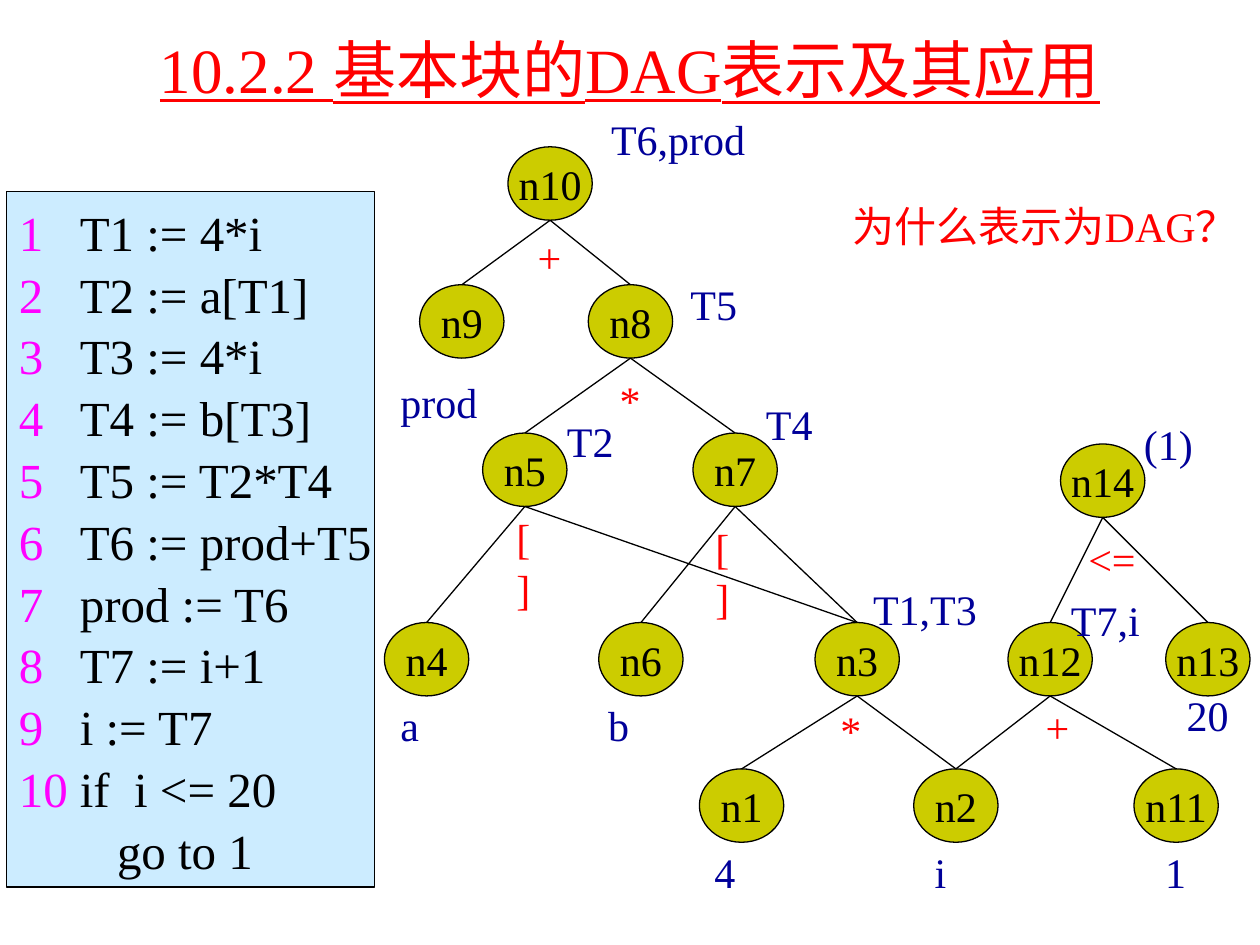
from typing import NamedTuple

from lxml import etree
from pptx import Presentation
from pptx.dml.color import RGBColor
from pptx.enum.shapes import MSO_CONNECTOR, MSO_SHAPE
from pptx.enum.text import MSO_ANCHOR, MSO_AUTO_SIZE, PP_ALIGN
from pptx.oxml.ns import qn
from pptx.util import Cm, Pt

OVAL, RECT = MSO_SHAPE.OVAL, MSO_SHAPE.RECTANGLE
STRAIGHT = MSO_CONNECTOR.STRAIGHT
MIDDLE = MSO_ANCHOR.MIDDLE
LEFT, CENTER = PP_ALIGN.LEFT, PP_ALIGN.CENTER
FIXED, GROW = MSO_AUTO_SIZE.NONE, MSO_AUTO_SIZE.SHAPE_TO_FIT_TEXT

FONT = "Times New Roman"
BLACK, WHITE, RED, NAVY, PINK = "000000", "FFFFFF", "FF0000", "000099", "FF00FF"
NODE_FILL, PANEL_FILL = "CCCC00", "CCECFF"
NODE_W, NODE_H = 1.7, 1.48
CODE_INDENT, GOTO_INDENT = 1.23, 1.98


class Node(NamedTuple):
    name: str
    x: float
    y: float


class Label(NamedTuple):
    text: str
    x: float
    y: float
    w: float = 1.73
    h: float = 1.27
    color: str = NAVY
    outlined: bool = False
    wrap: bool = True


ROW1, ROW2, ROW3, ROW4, ROW5 = 2.96, 5.74, 8.73, 12.55, 15.5
NODES = [
    Node("n10", 10.24, ROW1),
    Node("n9", 8.46, ROW2),
    Node("n8", 11.86, ROW2),
    Node("n5", 9.73, ROW3),
    Node("n7", 13.97, ROW3),
    Node("n14", 21.38, 8.95),
    Node("n4", 7.75, ROW4),
    Node("n6", 12.07, ROW4),
    Node("n3", 16.43, ROW4),
    Node("n12", 20.32, ROW4),
    Node("n13", 23.5, ROW4),
    Node("n1", 14.1, ROW5),
    Node("n2", 18.42, ROW5),
    Node("n11", 22.86, ROW5),
]

CHILDREN = {
    "n10": ("n9", "n8"),
    "n8": ("n5", "n7"),
    "n5": ("n4", "n3"),
    "n7": ("n6", "n3"),
    "n3": ("n1", "n2"),
    "n12": ("n2", "n11"),
    "n14": ("n12", "n13"),
}

LABELS = [
    Label("+", 10.59, 4.55, 1.07, color=RED),
    Label("*", 12.24, 7.42, 1.07, color=RED),
    Label("[ ]", 10.16, 10.21, 1.27, 2.29, RED),
    Label("[ ]", 14.17, 10.41, 1.27, 2.29, RED),
    Label("*", 16.69, 14.07, 1.27, color=RED),
    Label("<=", 21.69, 10.64, color=RED),
    Label("+", 20.83, 14.02, 1.27, color=RED),
    Label("T6,prod", 12.07, 2.16, 3.38, outlined=True),
    Label("prod", 7.82, 7.47, 2.54, outlined=True),
    Label("T5", 13.67, 5.49, 2.54, outlined=True),
    Label("T4", 15.19, 7.9),
    Label("T2", 11.18, 8.26),
    Label("a", 7.82, 13.97),
    Label("b", 12.01, 13.97),
    Label("4", 14.15, 16.94),
    Label("i", 18.59, 16.94),
    Label("1", 23.24, 16.94),
    Label("20", 23.67, 13.77),
    Label("(1)", 22.81, 8.31),
    Label("T7,i", 21.34, 11.86, 2.36),
    Label("T1,T3", 17.35, 11.63, 2.74),
    Label("为什么表示为DAG？", 16.94, 3.91, 8.66, color=RED, wrap=False),
]

CODE = [
    "T1 := 4*i",
    "T2 := a[T1]",
    "T3 := 4*i",
    "T4 := b[T3]",
    "T5 := T2*T4",
    "T6 := prod+T5",
    "prod := T6",
    "T7 := i+1",
    "i := T7",
    "if  i <= 20",
]


def rgb(value: str) -> RGBColor:
    return RGBColor.from_string(value)


def apply(obj, **values) -> None:
    for name, value in values.items():
        setattr(obj, name, value)


def add_run(p, text: str, size: float, color: str, **values) -> None:
    r = p.add_run()
    r.text = text
    apply(r.font, name=FONT, size=Pt(size), **values)
    r.font.color.rgb = rgb(color)


def set_line(sp, color: str) -> None:
    sp.line.color.rgb = rgb(color)
    sp.line.width = Pt(0.75)


def add_box(slide, kind, x: float, y: float, w: float, h: float, fill: str):
    sp = slide.shapes.add_shape(kind, Cm(x), Cm(y), Cm(w), Cm(h))
    sp.shadow.inherit = False
    sp.fill.solid()
    sp.fill.fore_color.rgb = rgb(fill)
    set_line(sp, BLACK)
    sp.text_frame.vertical_anchor = MIDDLE
    return sp


def add_title(slide, text: str) -> None:
    sp = slide.shapes.title
    apply(sp, left=Cm(1.9), top=Cm(0.84), width=Cm(21.59), height=Cm(1.07))
    tf = sp.text_frame
    apply(tf, vertical_anchor=MIDDLE, auto_size=FIXED)
    p = tf.paragraphs[0]
    p.alignment = CENTER
    add_run(p, text, 36, RED, underline=True)


def add_code(slide) -> None:
    sp = add_box(slide, RECT, 0.13, 3.86, 7.42, 14.02, PANEL_FILL)
    tf = sp.text_frame
    apply(tf, word_wrap=True, margin_right=0)
    for i, code in enumerate(CODE, 1):
        p = tf.paragraphs[0] if i == 1 else tf.add_paragraph()
        pPr = p._p.get_or_add_pPr()
        pPr.set("marL", str(Cm(CODE_INDENT)))
        pPr.set("indent", str(-Cm(CODE_INDENT)))
        add_run(p, f"{i}\t", 28, PINK)
        add_run(p, code, 28, BLACK)
    p = tf.add_paragraph()
    p._p.get_or_add_pPr().set("marL", str(Cm(GOTO_INDENT)))
    add_run(p, "go to 1", 28, BLACK)
    for p in tf.paragraphs:
        apply(p, alignment=LEFT, line_spacing=1.05)


def add_node(slide, node: Node):
    sp = add_box(slide, OVAL, node.x, node.y, NODE_W, NODE_H, NODE_FILL)
    sp.text_frame.word_wrap = False
    p = sp.text_frame.paragraphs[0]
    p.alignment = CENTER
    add_run(p, node.name, 24, BLACK)
    return sp


def add_edge(slide, parent, child) -> None:
    x, y = parent.left + parent.width // 2, parent.top + parent.height
    line = slide.shapes.add_connector(STRAIGHT, x, y, x, y)
    line.end_connect(child, 0)
    set_line(line, BLACK)
    etree.SubElement(line._element.spPr, qn("a:effectLst"))


def add_label(slide, label: Label) -> None:
    sp = slide.shapes.add_textbox(Cm(label.x), Cm(label.y), Cm(label.w), Cm(label.h))
    if label.outlined:
        set_line(sp, WHITE)
    apply(sp.text_frame, word_wrap=label.wrap, auto_size=GROW)
    add_run(sp.text_frame.paragraphs[0], label.text, 24, label.color)


def main() -> None:
    prs = Presentation()
    apply(prs, slide_width=Cm(25.4), slide_height=Cm(19.05))
    slide = prs.slides.add_slide(prs.slide_layouts[5])
    add_title(slide, "10.2.2 基本块的DAG表示及其应用")
    add_code(slide)
    nodes = {node.name: add_node(slide, node) for node in NODES}
    for parent, children in CHILDREN.items():
        for child in children:
            add_edge(slide, nodes[parent], nodes[child])
    for label in LABELS:
        add_label(slide, label)
    prs.save("out.pptx")


if __name__ == "__main__":
    main()
